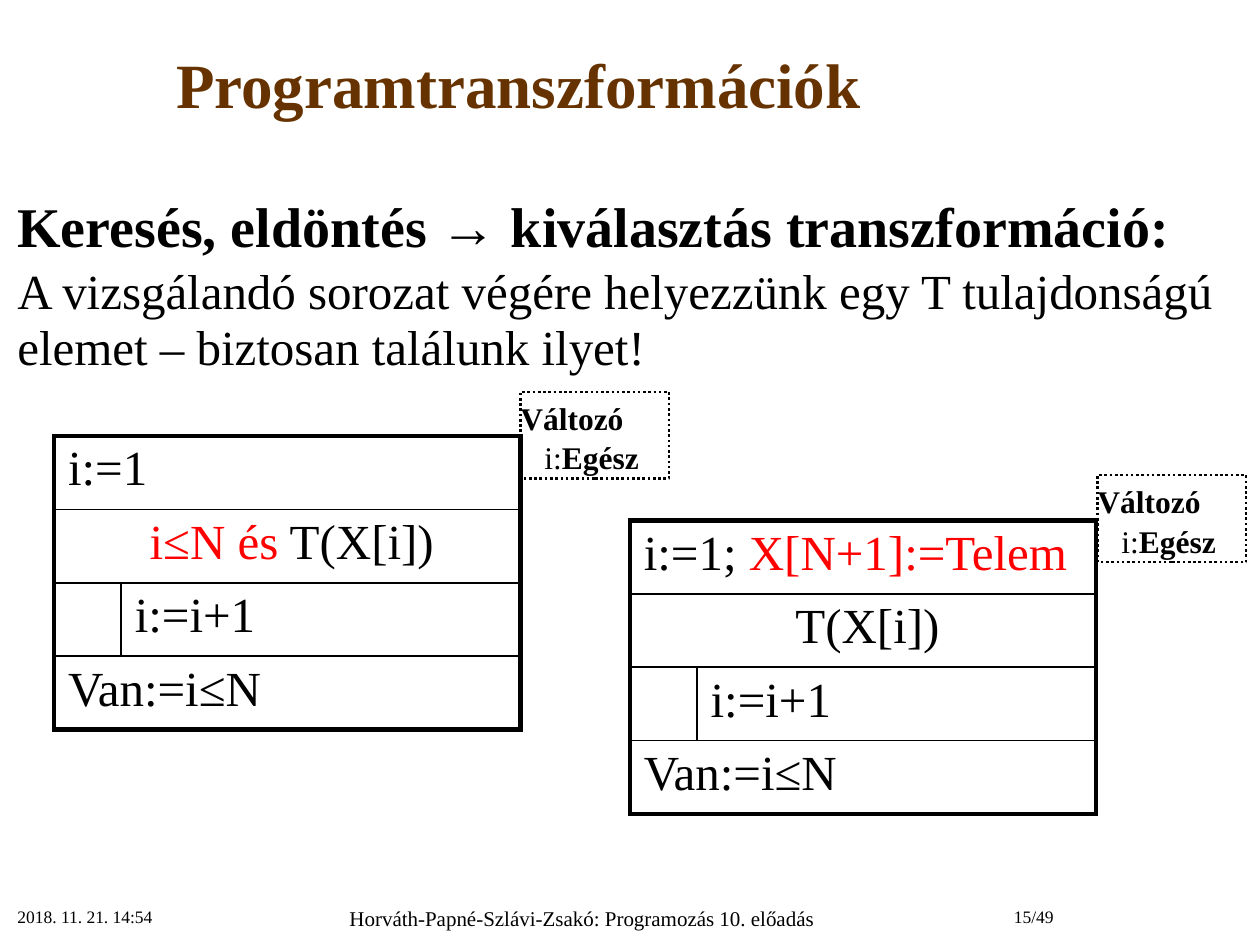
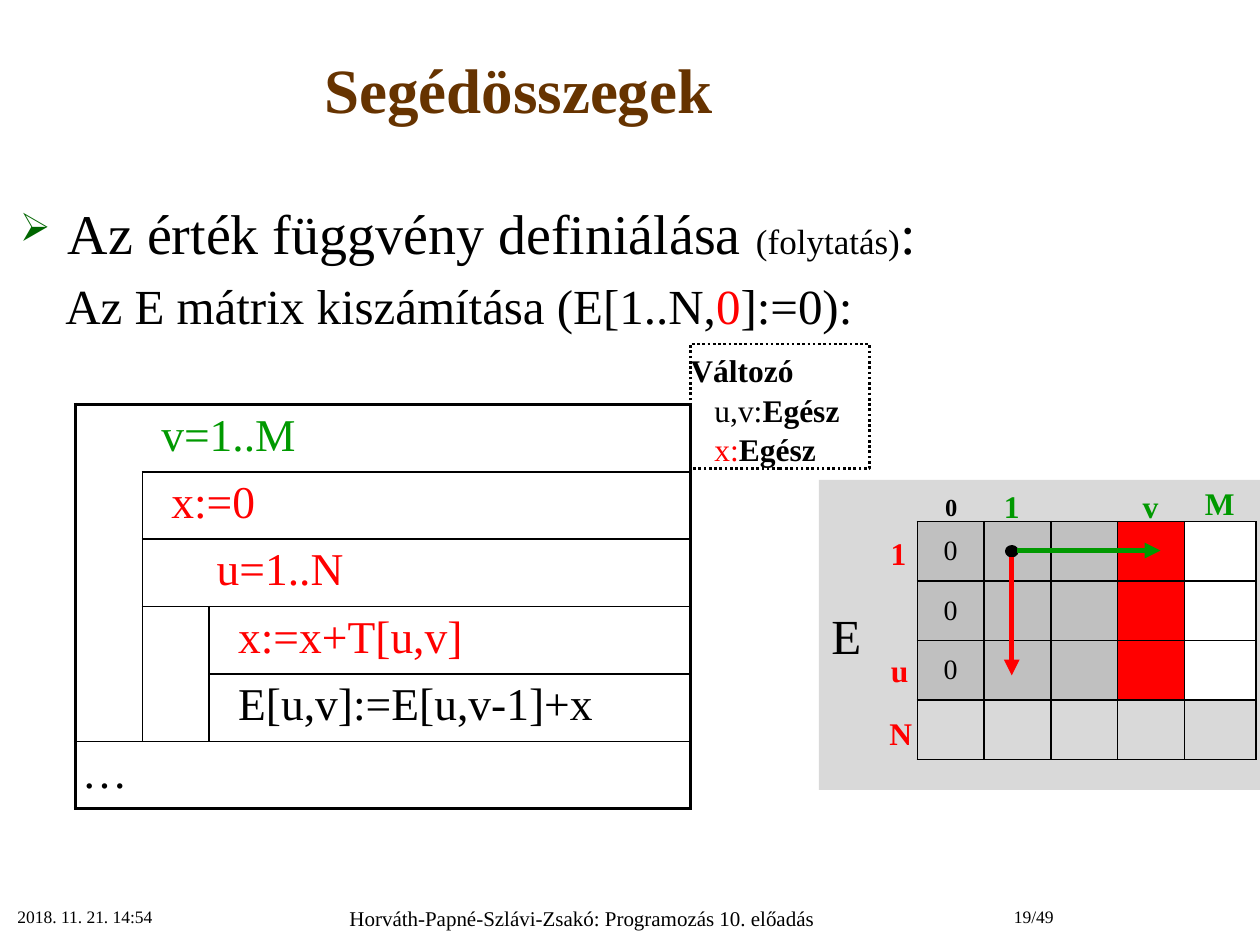
"""Build two lecture slides on program transformations and partial sums."""
from lxml import etree
from pptx import Presentation, util as u
from pptx.dml.color import RGBColor
from pptx.enum import dml, shapes, text
from pptx.oxml.ns import qn


class Theme:
    font = "Times New Roman"
    black, brown, red = "000000", "663300", "FF0000"
    green, bullet = "009900", "006600"
    white, silver, panel = "FFFFFF", "C0C0C0", "D9D9D9"
    title, heading, body, code = 36, 32, 28, 26
    aside, label, value, small = 20, 18, 16, 14
    footer, stamp = 12, 10
    thin, frame, heavy, dotted, dot = 1, 2.25, 3, 1.5, 2


LEFT, CENTER, RIGHT = text.PP_ALIGN.LEFT, text.PP_ALIGN.CENTER, text.PP_ALIGN.RIGHT
TOP, MIDDLE = text.MSO_ANCHOR.TOP, text.MSO_ANCHOR.MIDDLE
NO_GRID_STYLE = "{2D5ABB26-0587-4C30-8999-92F81FD0307C}"

presentation = Presentation()
presentation.slide_width, presentation.slide_height = u.Inches(10), u.Inches(7.5)
grid_step = presentation.slide_width / 100


def place(*steps):
    """Turn grid steps, a hundred to the slide's width, into lengths."""
    return [u.Emu(round(step * grid_step)) for step in steps]


def write(frame, *lines, size=Theme.body, color=Theme.black, bold=False, align=LEFT,
          anchor=TOP, margins=None, before=0, spacing=None, indents=()):
    """Fill a text frame; a line is a string or a list of strings and (string, look) pairs."""
    frame.word_wrap = True
    frame.vertical_anchor = anchor
    if margins:
        (frame.margin_left, frame.margin_top,
         frame.margin_right, frame.margin_bottom) = place(*margins)
    for number, line in enumerate(lines):
        paragraph = frame.add_paragraph() if number else frame.paragraphs[0]
        paragraph.alignment = align
        if number:
            paragraph.space_before = u.Pt(before)
        if spacing:
            paragraph.line_spacing = spacing
        if indents:
            paragraph._p.get_or_add_pPr().set("marL", str(place(indents[number])[0]))
        for part in [line] if isinstance(line, str) else line:
            words, look = (part, {}) if isinstance(part, str) else part
            run = paragraph.add_run()
            run.text = words
            run.font.name = Theme.font
            run.font.size = u.Pt(look.get("size", size))
            run.font.bold = look.get("bold", bold)
            run.font.color.rgb = RGBColor.from_string(look.get("color", color))


red, green, strong = {"color": Theme.red}, {"color": Theme.green}, {"bold": True}

slides = []
for title, page, title_spacing in [("Programtranszformációk", "15/49", 0.9),
                                   ("Segédösszegek", "19/49", None)]:
    slide = presentation.slides.add_slide(presentation.slide_layouts[5])
    slides.append(slide)
    heading = slide.shapes.title
    heading.left, heading.top, heading.width, heading.height = place(0, 0.9, 82.3, 12.2)
    heading.text_frame.auto_size = text.MSO_AUTO_SIZE.NONE
    write(heading.text_frame, title, size=Theme.title, color=Theme.brown, bold=True,
          align=CENTER, anchor=MIDDLE, spacing=title_spacing)
    for words, left, width, size, align in [
            ("2018. 11. 21. 14:54", 0.4, 20.8, Theme.stamp, LEFT),
            ("Horváth-Papné-Szlávi-Zsakó: Programozás 10. előadás", 21.2, 50,
             Theme.footer, CENTER),
            (page, 71.9, 12.7, Theme.stamp, RIGHT)]:
        footer = slide.shapes.add_textbox(*place(left, 71.4, width, 3.6))
        write(footer.text_frame, words, size=size, align=align)
search_slide, sums_slide = slides

body = search_slide.shapes.add_textbox(*place(0.4, 15.1, 97.7, 16))
write(body.text_frame,
      [("Keresés, eldöntés → kiválasztás transzformáció:",
        {"size": Theme.heading, "bold": True})],
      "A vizsgálandó sorozat végére helyezzünk egy T tulajdonságú elemet"
      " – biztosan találunk ilyet!",
      before=2.8, spacing=0.95)

body = sums_slide.shapes.add_textbox(*place(0.4, 15.3, 97.7, 12))
write(body.text_frame,
      [("Az érték függvény definiálása ", {"size": Theme.heading}),
       ("(folytatás)", {"size": Theme.aside}), (":", {"size": Theme.heading})],
      ["Az E mátrix kiszámítása (E[1..N,", ("0", red), "]:=0):"],
      before=5.6, indents=(4, 3.8))
bullet_properties = body.text_frame.paragraphs[0]._p.get_or_add_pPr()
bullet_properties.set("indent", str(-place(3.8)[0]))
bullet_color = etree.SubElement(bullet_properties, qn("a:buClr"))
etree.SubElement(bullet_color, qn("a:srgbClr"), val=Theme.bullet)
etree.SubElement(bullet_properties, qn("a:buSzPct"), val="70000")
etree.SubElement(bullet_properties, qn("a:buChar"), char="➢")

panel = sums_slide.shapes.add_shape(shapes.MSO_SHAPE.RECTANGLE, *place(65, 38.1, 35, 24.6))
panel.shadow.inherit = False
panel.fill.solid()
panel.fill.fore_color.rgb = RGBColor.from_string(Theme.panel)
panel.line.fill.background()
write(panel.text_frame, "E", anchor=MIDDLE)

integer_type = ("Egész", strong)
for slide, left, top, width, height, variables in [
        (search_slide, 41.3, 31.1, 11.8, 6.9, [["i:", integer_type]]),
        (search_slide, 87.1, 37.7, 11.8, 6.9, [["i:", integer_type]]),
        (sums_slide, 54.8, 27.3, 14.2, 9.9,
         [["u,v:", integer_type], [("x:", red), integer_type]])]:
    declaration = slide.shapes.add_shape(shapes.MSO_SHAPE.RECTANGLE,
                                         *place(left, top, width, height))
    declaration.shadow.inherit = False
    declaration.fill.background()
    declaration.line.color.rgb = RGBColor.from_string(Theme.black)
    declaration.line.width = u.Pt(Theme.dotted)
    declaration.line.dash_style = dml.MSO_LINE.ROUND_DOT
    write(declaration.text_frame, [("Változó", strong)], *variables, size=Theme.label,
          margins=(0, 0.4, 0, 0.4), spacing=1.05, indents=[0] + [1.9] * len(variables))

loop_step = (1, LEFT, 1.1, ["i:=i+1"])
found = (0, LEFT, 1.1, ["Van:=i≤N"])
structograms = [
    (search_slide, 43 / 10, 34.6, (5.3, 31.7), 5.83, Theme.body, Theme.heavy,
     [(0, LEFT, 1.1, ["i:=1"]),
      (0, CENTER, 1.1, [("i≤N és", red), " T(X[i])"]),
      loop_step, found]),
    (search_slide, 50, 41.3, (5.3, 31.7), 5.83, Theme.body, Theme.heavy,
     [(0, LEFT, 1.1, ["i:=1; ", ("X[N+1]:=Telem", red)]),
      (0, CENTER, 1.1, ["T(X[i])"]),
      loop_step, found]),
    (sums_slide, 6, 32.1, (5.3, 5.3, 38.2), 5.35, Theme.code, Theme.frame,
     [(0, LEFT, 6.8, [("v=1..M", green)]),
      (1, LEFT, 2.3, [("x:=0", red)]),
      (1, LEFT, 5.9, [("u=1..N", red)]),
      (2, LEFT, 2.3, [("x:=x+T[u,v]", red)]),
      (2, LEFT, 2.3, ["E[u,v]:=E[u,v-1]+x"]),
      (0, LEFT, 0.5, ["…"])])]

tables, borders = [], []
for slide, left, top, columns, row_height, size, outer, steps in structograms:
    table = slide.shapes.add_table(
        len(steps), len(columns),
        *place(left, top, sum(columns), row_height * len(steps))).table
    tables.append((table, columns, row_height))
    last_column, thin = len(columns) - 1, Theme.thin
    depths = [step[0] for step in steps]
    for row, (depth, align, margin, words) in enumerate(steps):
        for column in range(len(columns)):
            cell = table.cell(row, column)
            cell.fill.background()
            left_edge = outer if column == 0 else thin * (column <= depth)
            right_edge = outer if column in (depth, last_column) else thin * (column < depth)
            top_edge = outer if row == 0 else thin * (depth <= column)
            bottom_edge = (outer if row == len(steps) - 1
                           else thin * (depths[row + 1] <= column))
            borders.append((cell, (left_edge, right_edge, top_edge, bottom_edge)))
        step_cell = table.cell(row, depth)
        if depth < last_column:
            step_cell.merge(table.cell(row, last_column))
        step_cell.margin_left, step_cell.margin_right = place(margin, 0.4)
        write(step_cell.text_frame, words, size=size, align=align)

matrix_columns, matrix_row = (5.3, 5.3, 5.3, 5.3, 5.7), 4.72
matrix = sums_slide.shapes.add_table(
    4, 5, *place(72.8, 41.4, sum(matrix_columns), matrix_row * 4)).table
tables.append((matrix, matrix_columns, matrix_row))
column_fills = [Theme.silver] * 3 + [Theme.red, Theme.white]
for row in range(4):
    for column, fill in enumerate(column_fills):
        cell = matrix.cell(row, column)
        borders.append((cell, (Theme.thin,) * 4))
        if row == 3:
            cell.fill.background()
            continue
        cell.fill.solid()
        cell.fill.fore_color.rgb = RGBColor.from_string(fill)
        if column == 0:
            cell.vertical_anchor = MIDDLE
            write(cell.text_frame, "0", size=Theme.value, align=CENTER, anchor=MIDDLE)

for table, columns, row_height in tables:
    table.first_row = table.horz_banding = False
    table._tbl.tblPr.find(qn("a:tableStyleId")).text = NO_GRID_STYLE
    for column, width in zip(table.columns, place(*columns)):
        column.width = width
    for row in table.rows:
        row.height = place(row_height)[0]

for cell, edges in borders:
    cell_properties = cell._tc.get_or_add_tcPr()
    for side, width in reversed(list(zip("LRTB", edges))):
        if width:
            edge = etree.Element(qn(f"a:ln{side}"), w=str(u.Pt(width)))
            edge_fill = etree.SubElement(edge, qn("a:solidFill"))
            etree.SubElement(edge_fill, qn("a:srgbClr"), val=Theme.black)
            cell_properties.insert(0, edge)

origin = sums_slide.shapes.add_shape(shapes.MSO_SHAPE.OVAL, *place(79.9, 43.4, 0.8, 0.7))
origin.shadow.inherit = False
origin.fill.solid()
origin.fill.fore_color.rgb = RGBColor.from_string(Theme.black)
origin.line.color.rgb = RGBColor.from_string(Theme.black)
origin.line.width = u.Pt(Theme.dot)

for ends, color in [((80.7, 43.7, 92.1, 43.7), Theme.green),
                    ((80.3, 44.2, 80.3, 53.6), Theme.red)]:
    arrow = sums_slide.shapes.add_connector(shapes.MSO_CONNECTOR.STRAIGHT, *place(*ends))
    arrow.line.color.rgb = RGBColor.from_string(color)
    arrow.line.width = u.Pt(Theme.heavy)
    etree.SubElement(arrow.line._get_or_add_ln(), qn("a:tailEnd"), type="triangle")
    etree.SubElement(arrow._element.spPr, qn("a:effectLst"))

for words, left, top, color, size in [
        ("1", 69.4, 41.5, Theme.red, Theme.label),
        ("u", 69.5, 50.8, Theme.red, Theme.label),
        ("N", 69.6, 55.8, Theme.red, Theme.label),
        ("0", 73.6, 37.9, Theme.black, Theme.small),
        ("1", 78.4, 37.8, Theme.green, Theme.label),
        ("v", 89.4, 37.8, Theme.green, Theme.label),
        ("M", 94.9, 37.6, Theme.green, Theme.label)]:
    label = sums_slide.shapes.add_textbox(*place(left, top, 3.8, 4.7))
    write(label.text_frame, words, size=size, color=color, bold=True, align=CENTER,
          anchor=MIDDLE, margins=(0, 0.5, 0, 0.5))

presentation.save("out.pptx")
